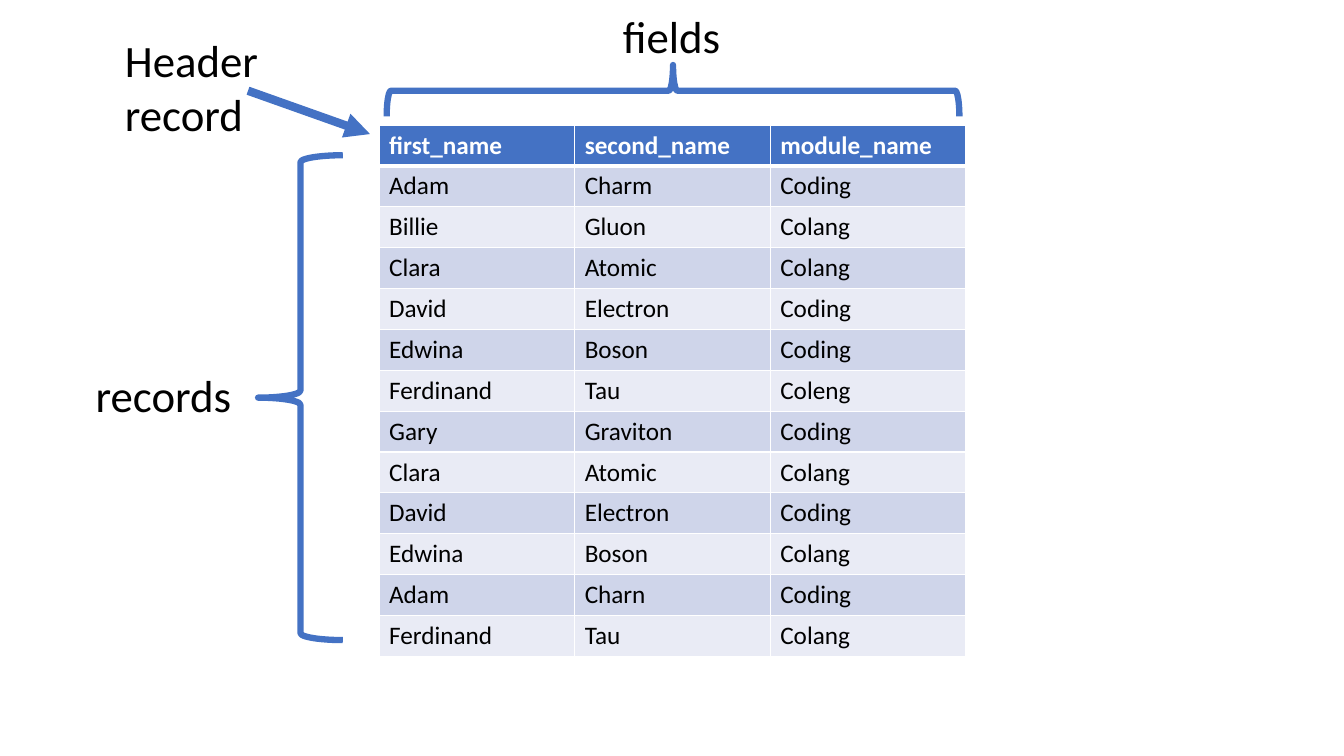
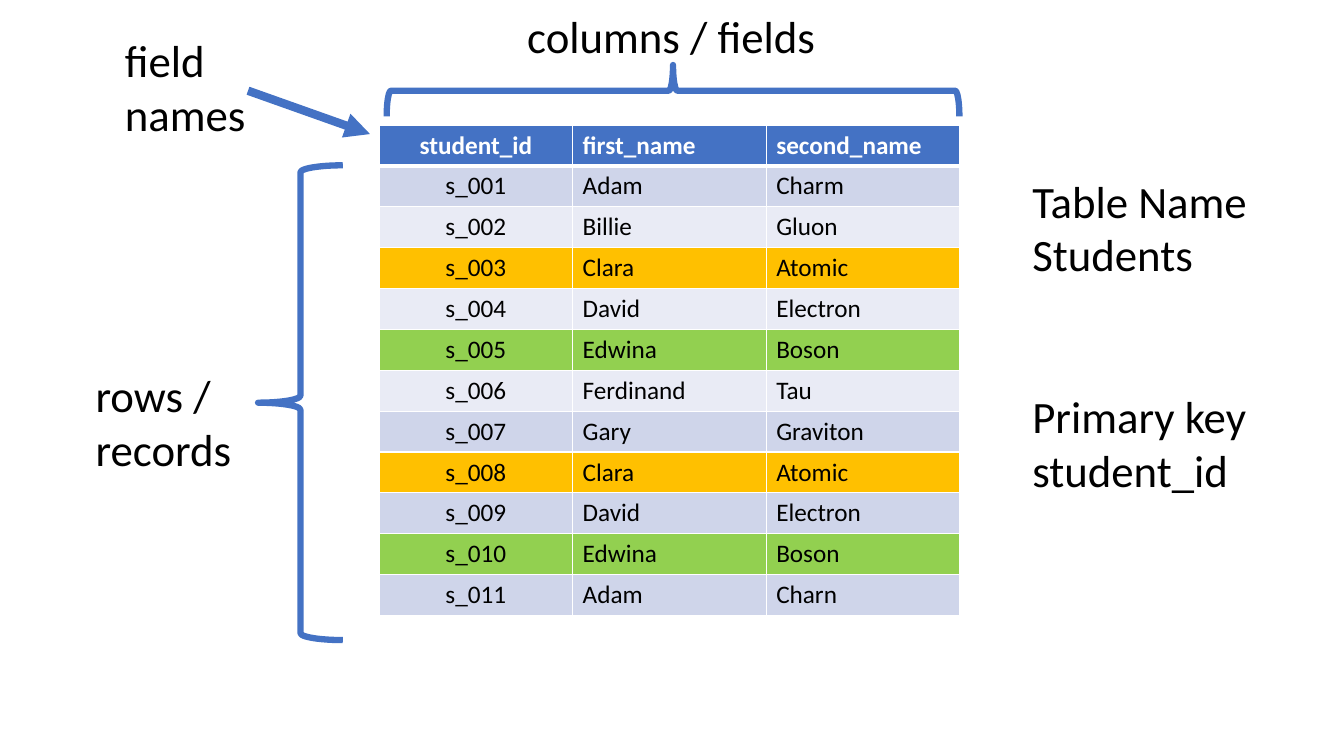
from dataclasses import dataclass

from lxml.etree import SubElement
from pptx import Presentation
from pptx.dml.color import RGBColor
from pptx.enum.shapes import MSO_CONNECTOR, MSO_SHAPE
from pptx.enum.text import MSO_AUTO_SIZE, PP_ALIGN
from pptx.oxml.ns import qn
from pptx.util import Inches, Pt


@dataclass(frozen=True)
class Theme:
    font: str = "Calibri"
    accent: RGBColor = RGBColor(0x44, 0x72, 0xC4)
    dark_band: RGBColor = RGBColor(0xCF, 0xD5, 0xEA)
    light_band: RGBColor = RGBColor(0xE9, 0xEB, 0xF5)
    amber: RGBColor = RGBColor(0xFF, 0xC0, 0x00)
    green: RGBColor = RGBColor(0x92, 0xD0, 0x50)
    black: RGBColor = RGBColor(0x00, 0x00, 0x00)
    white: RGBColor = RGBColor(0xFF, 0xFF, 0xFF)
    label_size: Pt = Pt(32)
    cell_size: Pt = Pt(18)
    arrow_width: Pt = Pt(6)
    brace_width: Pt = Pt(4.5)
    grid_width: Pt = Pt(1)
    header_rule_width: Pt = Pt(3)


STUDENTS = [
    ("Adam", "Charm"),
    ("Billie", "Gluon"),
    ("Clara", "Atomic"),
    ("David", "Electron"),
    ("Edwina", "Boson"),
    ("Ferdinand", "Tau"),
    ("Gary", "Graviton"),
    ("Clara", "Atomic"),
    ("David", "Electron"),
    ("Edwina", "Boson"),
    ("Adam", "Charn"),
    ("Ferdinand", "Tau"),
]
MODULES = [
    "Coding", "Colang", "Colang", "Coding", "Coding", "Coleng",
    "Coding", "Colang", "Coding", "Colang", "Coding", "Colang",
]


class TableDiagram:
    def __init__(self, theme):
        self.theme = theme
        self.deck = Presentation()
        self.deck.slide_width = Inches(13.33)
        self.deck.slide_height = Inches(7.5)
        self.page = None

    def new_page(self):
        self.page = self.deck.slides.add_slide(self.deck.slide_layouts[6])

    def add_run(self, para, text, size, color, bold=False):
        span = para.add_run()
        span.text = text
        span.font.name = self.theme.font
        span.font.size = size
        span.font.bold = bold
        span.font.color.rgb = color

    def label(self, left, top, width, height, lines, gaps=None):
        box = self.page.shapes.add_textbox(
            Inches(left), Inches(top), Inches(width), Inches(height))
        frame = box.text_frame
        frame.word_wrap = False
        frame.auto_size = MSO_AUTO_SIZE.SHAPE_TO_FIT_TEXT
        for index, line in enumerate(lines):
            para = frame.add_paragraph() if index else frame.paragraphs[0]
            if gaps and index in gaps:
                para.space_before = gaps[index]
            self.add_run(para, line, self.theme.label_size, self.theme.black)

    def arrow(self, start, end):
        line = self.page.shapes.add_connector(
            MSO_CONNECTOR.STRAIGHT, *map(Inches, start + end))
        line.line.color.rgb = self.theme.accent
        line.line.width = self.theme.arrow_width
        properties = line._element.spPr
        SubElement(properties.find(qn("a:ln")), qn("a:tailEnd"), type="triangle")
        SubElement(properties, qn("a:effectLst"))

    def brace(self, left, top, width, height, rotation=0, middle=0.5):
        brace = self.page.shapes.add_shape(
            MSO_SHAPE.LEFT_BRACE,
            Inches(left), Inches(top), Inches(width), Inches(height))
        brace.rotation = rotation
        brace.adjustments[1] = middle
        brace.shadow.inherit = False
        brace.fill.background()
        brace.line.color.rgb = self.theme.accent
        brace.line.width = self.theme.brace_width

    def border(self, cell, row_index):
        top_width = bottom_width = self.theme.grid_width
        if row_index == 0:
            bottom_width = self.theme.header_rule_width
        elif row_index == 1:
            top_width = self.theme.header_rule_width
        widths = {
            "a:lnL": self.theme.grid_width,
            "a:lnR": self.theme.grid_width,
            "a:lnT": top_width,
            "a:lnB": bottom_width,
        }
        properties = cell._tc.get_or_add_tcPr()
        for side, width in widths.items():
            line = SubElement(properties, qn(side), w=str(int(width)))
            fill = SubElement(line, qn("a:solidFill"))
            SubElement(fill, qn("a:srgbClr"), val=str(self.theme.white))

    def table(self, header, records, width, height, highlights, centered):
        rows = [header, *records]
        grid = self.page.shapes.add_table(
            len(rows), len(header),
            Inches(3.76), Inches(1.24), Inches(width), Inches(height)).table
        for row_index, values in enumerate(rows):
            is_header = row_index == 0
            band = self.theme.dark_band if row_index % 2 else self.theme.light_band
            marks = [highlights[value] for value in values if value in highlights]
            fill = self.theme.accent if is_header else (marks or [band])[0]
            color = self.theme.white if is_header else self.theme.black
            for column_index, value in enumerate(values):
                cell = grid.cell(row_index, column_index)
                self.border(cell, row_index)
                cell.fill.solid()
                cell.fill.fore_color.rgb = fill
                para = cell.text_frame.paragraphs[0]
                if column_index in centered:
                    para.alignment = PP_ALIGN.CENTER
                self.add_run(para, value, self.theme.cell_size, color, is_header)

    def annotated_table(self, header, records, width, height, header_label,
                        rows_label, fields_label, rows_top,
                        highlights=None, centered=()):
        self.new_page()
        self.table(header, records, width, height, highlights or {}, centered)
        self.label(*header_label)
        self.arrow((2.46, 0.9), (3.67, 1.33))
        self.brace(2.56, rows_top, 0.84, 6.35 - rows_top)
        self.label(*rows_label)
        self.label(*fields_label)
        self.brace(6.42, -1.94, 0.51, 5.68, rotation=90, middle=0.5)

    def save(self):
        self.deck.save("out.pptx")


def main():
    theme = Theme()
    diagram = TableDiagram(theme)
    diagram.annotated_table(
        header=("first_name", "second_name", "module_name"),
        records=[(*names, module) for names, module in zip(STUDENTS, MODULES)],
        width=5.82,
        height=5.27,
        header_label=(1.14, 0.28, 1.54, 1.18, ["Header", "record"]),
        rows_label=(0.85, 3.6, 1.56, 0.64, ["records"]),
        fields_label=(6.08, 0.04, 1.18, 0.64, ["fields"]),
        rows_top=1.54,
    )
    diagram.annotated_table(
        header=("student_id", "first_name", "second_name"),
        records=[(f"s_{number:03}", *names)
                 for number, names in enumerate(STUDENTS[:11], start=1)],
        width=5.76,
        height=4.86,
        header_label=(1.14, 0.28, 1.41, 1.18, ["field", "names"]),
        rows_label=(0.85, 3.6, 1.56, 1.18, ["rows /", "records"]),
        fields_label=(5.13, 0.04, 3.09, 0.64, ["columns / fields"]),
        rows_top=1.64,
        highlights={"Clara": theme.amber, "Edwina": theme.green},
        centered=(0,),
    )
    diagram.label(
        10.14, 1.67, 2.35, 3.33,
        ["Table Name", "Students", "Primary key", "student_id"],
        gaps={2: Pt(77)})
    diagram.save()


if __name__ == "__main__":
    main()
